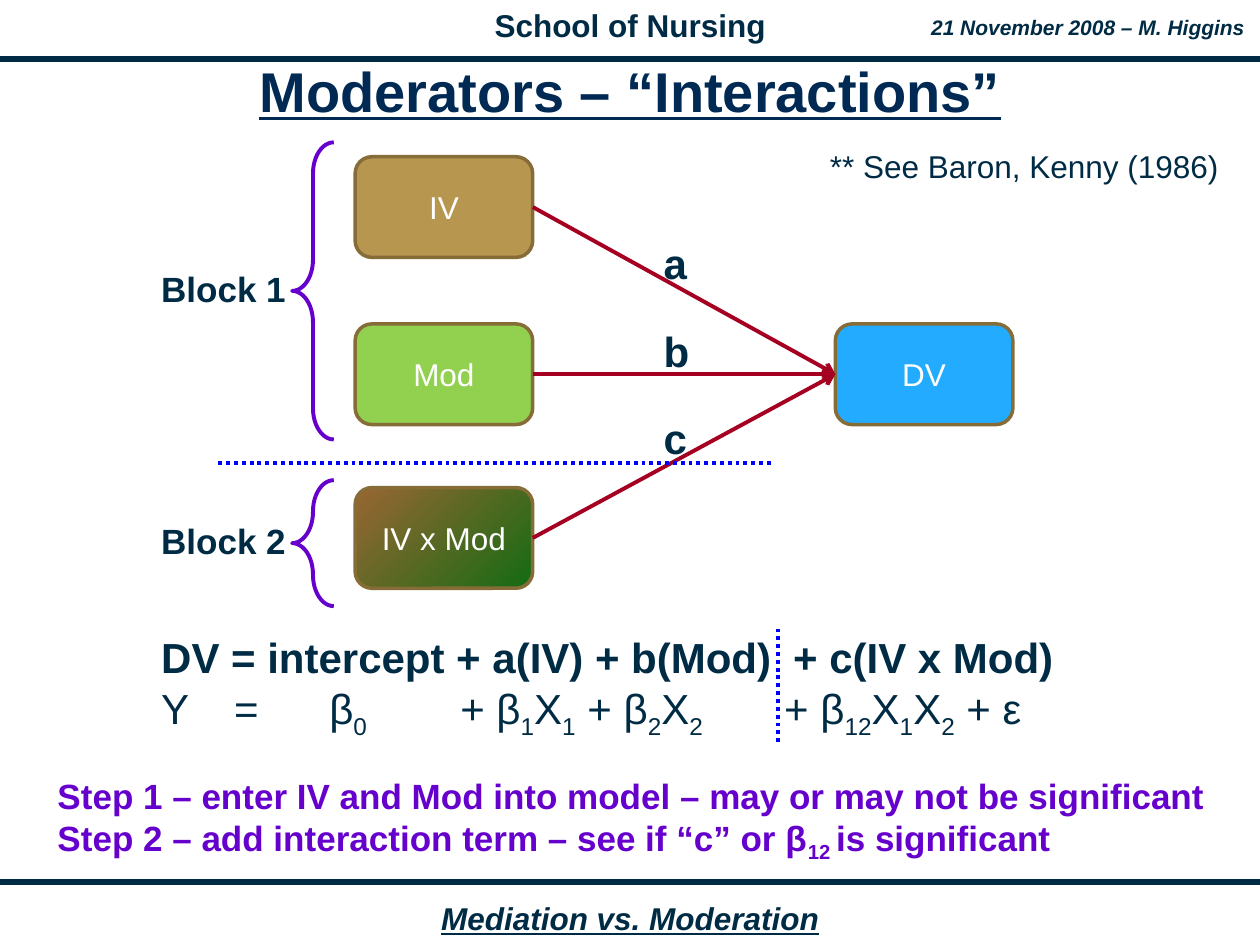
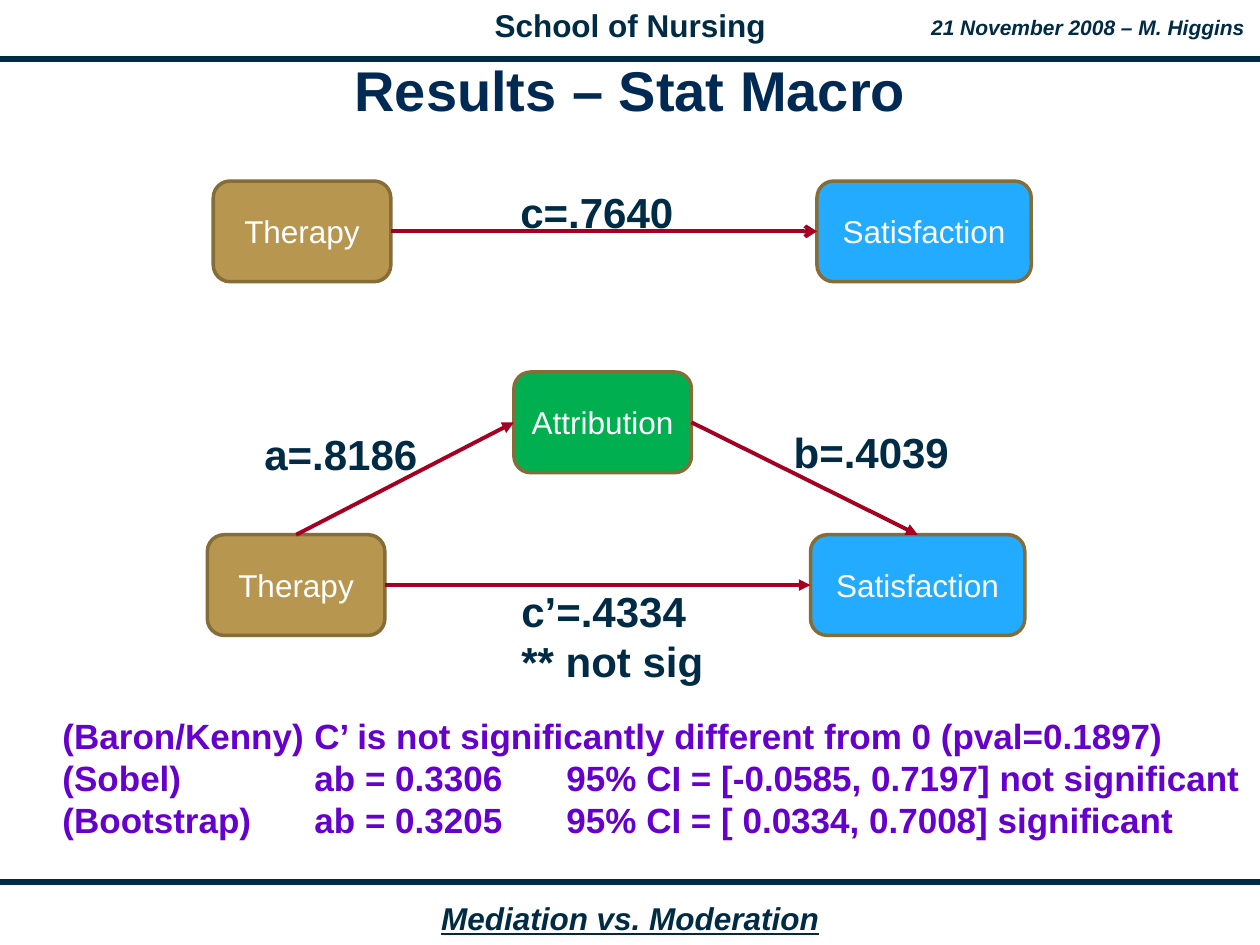
"""Builds two slides on moderation and mediation models."""
from lxml.etree import SubElement
from pptx import Presentation
from pptx.dml.color import RGBColor
from pptx.enum.dml import MSO_LINE
from pptx.enum.shapes import MSO_CONNECTOR, MSO_SHAPE
from pptx.enum.text import MSO_ANCHOR, MSO_AUTO_SIZE, PP_ALIGN
from pptx.oxml.ns import qn
from pptx.util import Cm, Pt

NAVY = RGBColor(0x00, 0x2B, 0x45)
TITLE = RGBColor(0x00, 0x2A, 0x54)
WHITE = RGBColor(0xFF, 0xFF, 0xFF)
TAN = RGBColor(0xB7, 0x96, 0x50)
BROWN = RGBColor(0x86, 0x6D, 0x38)
SKY = RGBColor(0x23, 0xAC, 0xFF)
LIME = RGBColor(0x92, 0xD0, 0x50)
GREEN = RGBColor(0x00, 0xB0, 0x50)
EARTH = RGBColor(0x99, 0x66, 0x33)
MOSS = RGBColor(0x15, 0x6B, 0x13)
RED = RGBColor(0xA5, 0x00, 0x21)
BLUE = RGBColor(0x00, 0x00, 0xFF)
PURPLE = RGBColor(0x66, 0x00, 0xCC)

WIDTH, HEIGHT = 25.4, 19.05
NODE_W, WIDE_W, NODE_H = 3.58, 4.32, 2.03
TOP, LEFT, RIGHT = 0, 1, 3

RULES = [1.19, 17.78]
BANDS = [
    ("School of Nursing", (9.72, 0, 5.97, 1.02), 18, False, False),
    ("21 November 2008 – M. Higgins", (18.52, 0.16, 6.83, 0.76), 12, True, False),
    ("Mediation vs. Moderation", (8.64, 18, 8.13, 1.02), 18, True, True),
]

MODEL = {
    "title": ("Moderators – “Interactions”", 1.13, True),
    "nodes": {
        "iv": ("IV", 7.16, 3.16, NODE_W, [TAN]),
        "dv": ("DV", 16.84, 6.53, NODE_W, [SKY]),
        "mod": ("Mod", 7.16, 6.53, NODE_W, [LIME]),
        "both": ("IV x Mod", 7.16, 9.83, NODE_W, [EARTH, MOSS]),
    },
    "links": [(name, RIGHT, "dv", LEFT, "arrow") for name in ("iv", "mod", "both")],
    "dots": [(4.4, 9.33, 15.6, 9.33), (15.69, 14.96, 15.69, 12.67)],
    "braces": [(5.89, 2.87, 0.84, 5.99), (5.89, 9.68, 0.84, 2.54)],
    "texts": [
        *[([name], (13.13, 4.66 + 1.77 * i, 0.97, 1.27), 24, True, NAVY, [])
          for i, name in enumerate("abc")],
        (["DV = intercept + a(IV) + b(Mod)\t+ c(IV x Mod)"],
         (3, 12.6, 18.52, 1.27), 24, True, NAVY, [12.74]),
        (["Y\t=\tβ_0_\t+ β_1_X_1_ + β_2_X_2_\t+ β_12_X_1_X_2_ + ε"],
         (3, 13.64, 18, 1.27), 24, False, NAVY, [1.47, 3.39, 6.03, 12.56]),
        (["** See Baron, Kenny (1986)"], (16.48, 2.83, 8.33, 1.02), 18, False, NAVY, []),
        (["Block 1"], (3, 5.26, 3.02, 1.12), 20, True, NAVY, []),
        (["Block 2"], (3, 10.34, 3.02, 1.12), 20, True, NAVY, []),
        (["Step 1 – enter IV and Mod into model – may or may not be significant",
          "Step 2 – add interaction term – see if “c” or β_12 _is significant"],
         (0.91, 15.48, 23.65, 2.08), 20, True, PURPLE, []),
    ],
}

RESULTS = {
    "title": ("Results – Stat Macro", 1.11, False),
    "nodes": {
        "cause": ("Therapy", 4.18, 10.78, NODE_W, [TAN]),
        "end": ("Satisfaction", 16.34, 10.78, WIDE_W, [SKY]),
        "mid": ("Attribution", 10.36, 7.5, NODE_W, [GREEN]),
        "first": ("Therapy", 4.3, 3.65, NODE_W, [TAN]),
        "last": ("Satisfaction", 16.47, 3.65, WIDE_W, [SKY]),
    },
    "links": [
        ("cause", TOP, "mid", LEFT, "triangle"),
        ("mid", RIGHT, "end", TOP, "triangle"),
        ("cause", RIGHT, "end", LEFT, "triangle"),
        ("first", RIGHT, "last", LEFT, "arrow"),
    ],
    "dots": [],
    "braces": [],
    "texts": [
        (["a=.8186"], (5.08, 8.51, 3.58, 1.27), 24, True, NAVY, []),
        (["b=.4039"], (15.75, 8.48, 3.63, 1.27), 24, True, NAVY, []),
        (["c’=.4334", "** not sig"], (10.26, 11.67, 4.17, 2.29), 24, True, NAVY, []),
        (["c=.7640"], (10.24, 3.63, 3.58, 1.27), 24, True, NAVY, []),
        (["(Baron/Kenny)\tC’ is not significantly different from 0 (pval=0.1897)",
          "(Sobel)\tab = 0.3306\t95% CI = [-0.0585, 0.7197] not significant",
          "(Bootstrap)\tab = 0.3205\t95% CI = [ 0.0334, 0.7008] significant"],
         (1.01, 14.27, 24.25, 2.79), 20, True, PURPLE, [5.08, 10.16]),
    ],
}


def write(para, text, size, color, bold=False, italic=False, under=False, align=None):
    for i, part in enumerate(text.split("_")):
        if part:
            run = para.add_run()
            run.text = part
            if i % 2:
                run.font._element.set("baseline", "-25000")
    para.alignment = align
    font = para.font
    font.name, font.size, font.color.rgb = "Arial", Pt(size), color
    font.bold, font.italic, font.underline = bold, italic, under


def add_box(slide, box, wrap):
    frame = slide.shapes.add_textbox(*map(Cm, box)).text_frame
    frame.word_wrap = wrap
    return frame


def add_text(slide, lines, box, size, bold, color, tabs):
    frame = add_box(slide, box, True)
    frame.margin_right = 0
    for i, line in enumerate(lines):
        para = frame.add_paragraph() if i else frame.paragraphs[0]
        if tabs:
            stops = SubElement(para._p.get_or_add_pPr(), qn("a:tabLst"))
            for tab in tabs:
                SubElement(stops, qn("a:tab"), pos=str(Cm(tab)), algn="l")
        write(para, line, size, color, bold)


def add_line(slide, ends, color, width):
    line = slide.shapes.add_connector(MSO_CONNECTOR.STRAIGHT, *map(Cm, ends))
    line.line.color.rgb, line.line.width = color, Pt(width)
    SubElement(line._element.spPr, qn("a:effectLst"))
    return line


def add_node(slide, label, left, top, width, colors):
    node = slide.shapes.add_shape(
        MSO_SHAPE.ROUNDED_RECTANGLE, Cm(left), Cm(top), Cm(width), Cm(NODE_H))
    node.shadow.inherit = False
    if len(colors) > 1:
        node.fill.gradient()
        node.fill.gradient_angle = 315
        for stop, color in zip(node.fill.gradient_stops, colors):
            stop.color.rgb = color
    else:
        node.fill.solid()
        node.fill.fore_color.rgb = colors[0]
    node.line.color.rgb, node.line.width = BROWN, Pt(2)
    node.text_frame.vertical_anchor = MSO_ANCHOR.MIDDLE
    write(node.text_frame.paragraphs[0], label, 18, WHITE, align=PP_ALIGN.CENTER)
    return node


def add_brace(slide, box):
    brace = slide.shapes.add_shape(MSO_SHAPE.LEFT_BRACE, *map(Cm, box))
    brace.adjustments[0] = 0.75
    brace.shadow.inherit = False
    brace.fill.background()
    brace.line.color.rgb, brace.line.width = PURPLE, Pt(2.25)


def add_frame(slide, title, top, under):
    for y in RULES:
        add_line(slide, (0, y, WIDTH, y), NAVY, 3)
    for text, box, size, italic, line in BANDS:
        frame = add_box(slide, box, False)
        frame.auto_size = MSO_AUTO_SIZE.SHAPE_TO_FIT_TEXT
        write(frame.paragraphs[0], text, size, NAVY, True, italic, line, PP_ALIGN.CENTER)
    frame = add_box(slide, (0.64, top, 24.13, 1.6), True)
    frame.vertical_anchor = MSO_ANCHOR.MIDDLE
    frame.margin_top = frame.margin_bottom = Cm(0.13)
    para = frame.paragraphs[0]
    para.line_spacing = 0.85
    write(para, title, 32, TITLE, True, under=under, align=PP_ALIGN.CENTER)


def add_slide(deck, data):
    slide = deck.slides.add_slide(deck.slide_layouts[6])
    add_frame(slide, *data["title"])
    nodes = {key: add_node(slide, *spot) for key, spot in data["nodes"].items()}
    for start, out, end, into, head in data["links"]:
        link = add_line(slide, (0, 0, 1, 1), RED, 2.25)
        link.begin_connect(nodes[start], out)
        link.end_connect(nodes[end], into)
        SubElement(link.line._get_or_add_ln(), qn("a:tailEnd"), type=head)
    for ends in data["dots"]:
        add_line(slide, ends, BLUE, 2.25).line.dash_style = MSO_LINE.ROUND_DOT
    for box in data["braces"]:
        add_brace(slide, box)
    for text in data["texts"]:
        add_text(slide, *text)


def main():
    deck = Presentation()
    deck.slide_width, deck.slide_height = Cm(WIDTH), Cm(HEIGHT)
    for data in (MODEL, RESULTS):
        add_slide(deck, data)
    deck.save("out.pptx")


if __name__ == "__main__":
    main()
